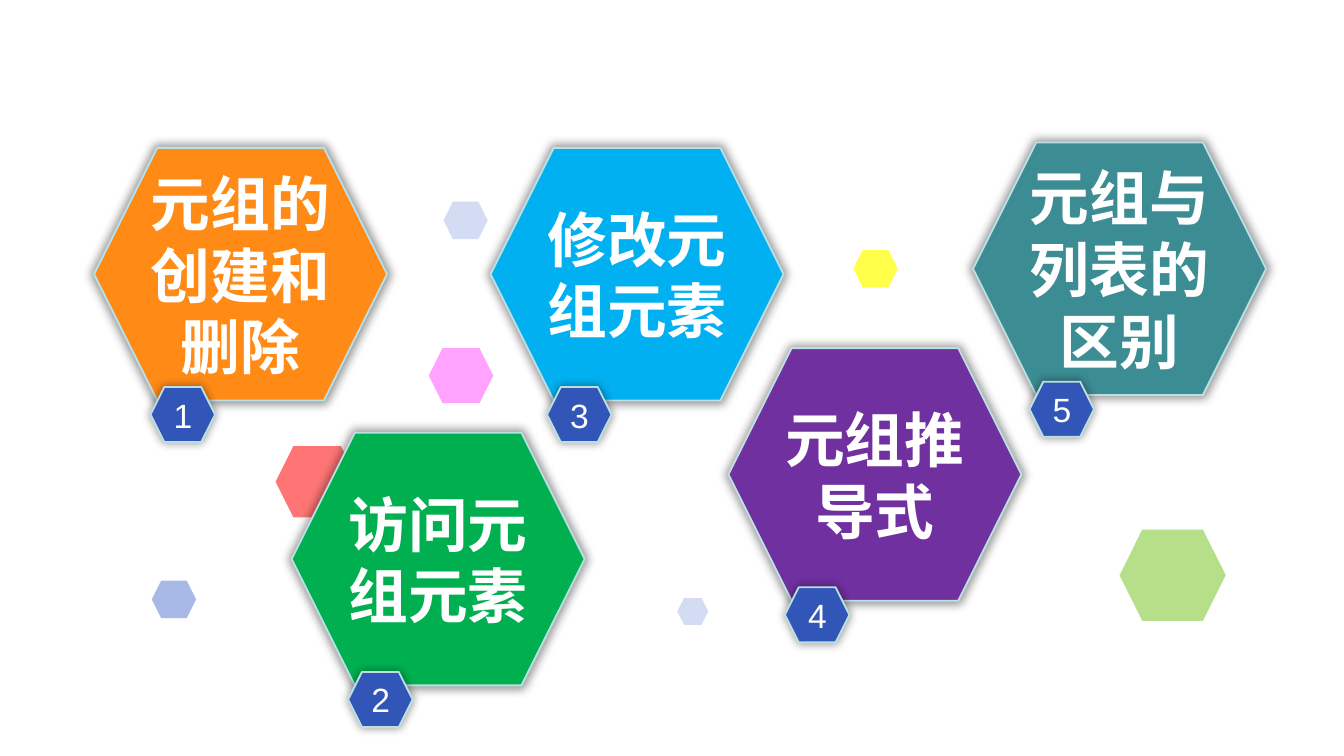
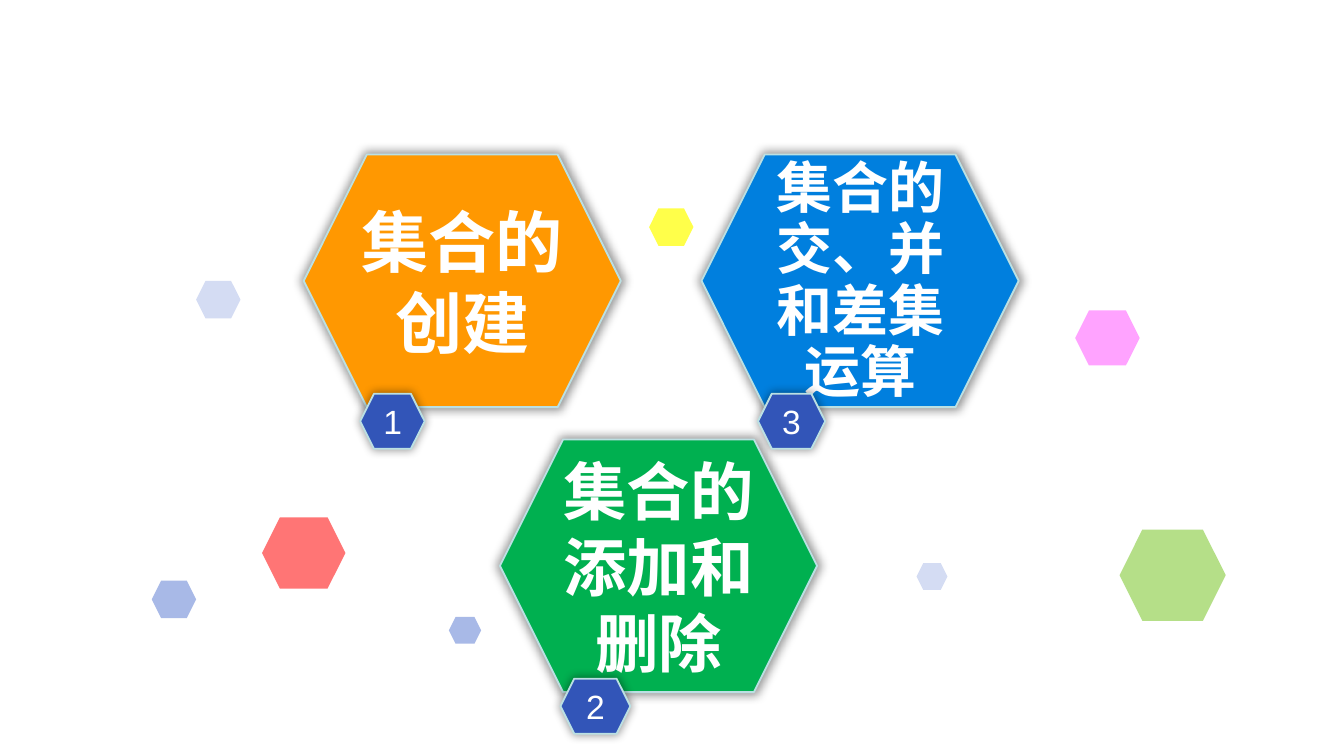
from lxml.etree import SubElement
from pptx import Presentation
from pptx.dml.color import RGBColor
from pptx.enum.shapes import MSO_SHAPE
from pptx.enum.text import MSO_ANCHOR, PP_ALIGN
from pptx.oxml.ns import qn
from pptx.util import Emu, Pt

PX = 9144
SLIDE_WIDTH = 1000 * PX
SLIDE_HEIGHT = SLIDE_WIDTH * 9 // 16
COLOURS = {
    "white": "FFFFFF", "outline": "BBE0E3", "shadow": "000000", "badge": "3255B8",
    "pink": "FF66FF", "red": "FF0000", "yellow": "FFFF00", "lime": "92D050",
    "periwinkle": "A8B9E7", "mist": "D4DCF3",
    "purple": "7030A0", "green": "00B050", "sky": "00B0F0", "orange": "FF8A15",
    "teal": "3C8C93", "amber": "FF9801", "blue": "007FDE",
}
HEADING_FONT = "Noto Sans CJK SC"
NUMBER_FONT = "Arial"
TOPIC_HEIGHT = 188
BADGE_HEIGHT = 41
BADGE_DROP = 178

DOTS = {
    "pink": (48, 41, "pink", 60),
    "red": (62, 53, "red", 54),
    "yellow": (33, 28, "yellow", 71),
    "lime": (79, 68, "lime", 68),
    "periwinkle": (33, 28, "periwinkle", 100),
    "small periwinkle": (24, 20, "periwinkle", 100),
    "mist": (33, 28, "mist", 100),
    "small mist": (23, 20, "mist", 100),
}

TUPLE_DOTS = [
    ("pink", 319, 259), ("red", 205, 332), ("periwinkle", 113, 432),
    ("small mist", 504, 445), ("small periwinkle", 391, 370),
    ("mist", 330, 150), ("yellow", 635, 186), ("lime", 833, 394),
]
TUPLE_TOPICS = [
    dict(left=542, top=259, number=4, text="元组推导式", colour="purple"),
    dict(left=217, top=322, number=2, text="访问元组元素", colour="green"),
    dict(left=365, top=110, number=3, text="修改元组元素", colour="sky"),
    dict(left=70, top=110, number=1, text="元组的创建和删除", colour="orange"),
    dict(left=724, top=106, number=5, text="元组与列表的区别", colour="teal"),
]
SET_DOTS = [
    ("pink", 800, 231), ("red", 195, 385), ("periwinkle", 113, 432),
    ("small mist", 682, 419), ("small periwinkle", 334, 459),
    ("mist", 146, 209), ("yellow", 483, 155), ("lime", 833, 394),
]
SET_TOPICS = [
    dict(left=226, top=115, number=1, text="集合的创建", colour="amber", size=36),
    dict(left=372, top=327, number=2, text="集合的添加和删除", colour="green",
         size=34, badge_width=52, badge_shift=45),
    dict(left=522, top=115, number=3, text="集合的交、并和差集运算", colour="blue",
         size=30, spacing=33, badge_width=50),
]


def rgb(name):
    """Return the named palette colour."""
    return RGBColor.from_string(COLOURS[name])


def add_hexagon(shapes, box, colour, opacity=100):
    """Add a flat hexagon without outline or shadow."""
    shape = shapes.add_shape(MSO_SHAPE.HEXAGON, *(Emu(length * PX) for length in box))
    shape.shadow.inherit = False
    shape.fill.solid()
    shape.fill.fore_color.rgb = rgb(colour)
    shape.line.fill.background()
    if opacity < 100:
        fill = shape.element.find(f".//{qn('a:solidFill')}/{qn('a:srgbClr')}")
        SubElement(fill, qn("a:alpha"), val=str(opacity * 1000))
    return shape


def add_raised_hexagon(shapes, box, colour):
    """Add a hexagon with a pale outline and a soft shadow all round."""
    shape = add_hexagon(shapes, box, colour)
    shape.line.color.rgb = rgb("outline")
    shape.line.width = Pt(1)
    effects = shape.element.find(f".//{qn('a:effectLst')}")
    shadow = SubElement(effects, qn("a:outerShdw"), blurRad=str(Pt(5)),
                        sx="102000", sy="102000", algn="ctr", rotWithShape="0")
    shade = SubElement(shadow, qn("a:srgbClr"), val=COLOURS["shadow"])
    SubElement(shade, qn("a:alpha"), val="40000")
    return shape


def write_text(shape, text, *, font, size, bold=False, spacing=None, insets=(10, 5)):
    """Write centred white text with horizontal and vertical insets."""
    frame = shape.text_frame
    frame.word_wrap = True
    frame.vertical_anchor = MSO_ANCHOR.MIDDLE
    across, down = (Emu(inset * PX) for inset in insets)
    frame.margin_left = frame.margin_right = across
    frame.margin_top = frame.margin_bottom = down
    paragraph = frame.paragraphs[0]
    paragraph.alignment = PP_ALIGN.CENTER
    if spacing:
        paragraph.line_spacing = Pt(spacing)
    run = paragraph.add_run()
    run.text = text
    run.font.name = font
    run.font.size = Pt(size)
    run.font.bold = bold
    run.font.color.rgb = rgb("white")
    properties = run.font._element
    SubElement(properties, qn("a:ea"), typeface=font)


def add_topic(slide, left, top, number, text, colour, width=218, size=32, spacing=None,
              insets=(0, 5), badge_width=48, badge_shift=42):
    """Group a topic hexagon with the number badge at its lower left corner."""
    shapes = slide.shapes.add_group_shape().shapes
    topic = add_raised_hexagon(shapes, (left, top, width, TOPIC_HEIGHT), colour)
    write_text(topic, text, font=HEADING_FONT, size=size, bold=True,
               spacing=spacing, insets=insets)
    badge_box = (left + badge_shift, top + BADGE_DROP, badge_width, BADGE_HEIGHT)
    badge = add_raised_hexagon(shapes, badge_box, "badge")
    write_text(badge, str(number), font=NUMBER_FONT, size=18)


def add_overview_slide(presentation, dots, topics, **topic_format):
    """Add a slide of numbered topics over scattered hexagon dots."""
    slide = presentation.slides.add_slide(presentation.slide_layouts[6])
    for kind, left, top in dots:
        width, height, colour, opacity = DOTS[kind]
        add_hexagon(slide.shapes, (left, top, width, height), colour, opacity)
    for topic in topics:
        add_topic(slide, **topic_format, **topic)


def main():
    """Build and save the two overview slides."""
    presentation = Presentation()
    presentation.slide_width = Emu(SLIDE_WIDTH)
    presentation.slide_height = Emu(SLIDE_HEIGHT)
    add_overview_slide(presentation, TUPLE_DOTS, TUPLE_TOPICS)
    add_overview_slide(presentation, SET_DOTS, SET_TOPICS, width=236, insets=(0, 0))
    presentation.save("out.pptx")


if __name__ == "__main__":
    main()
